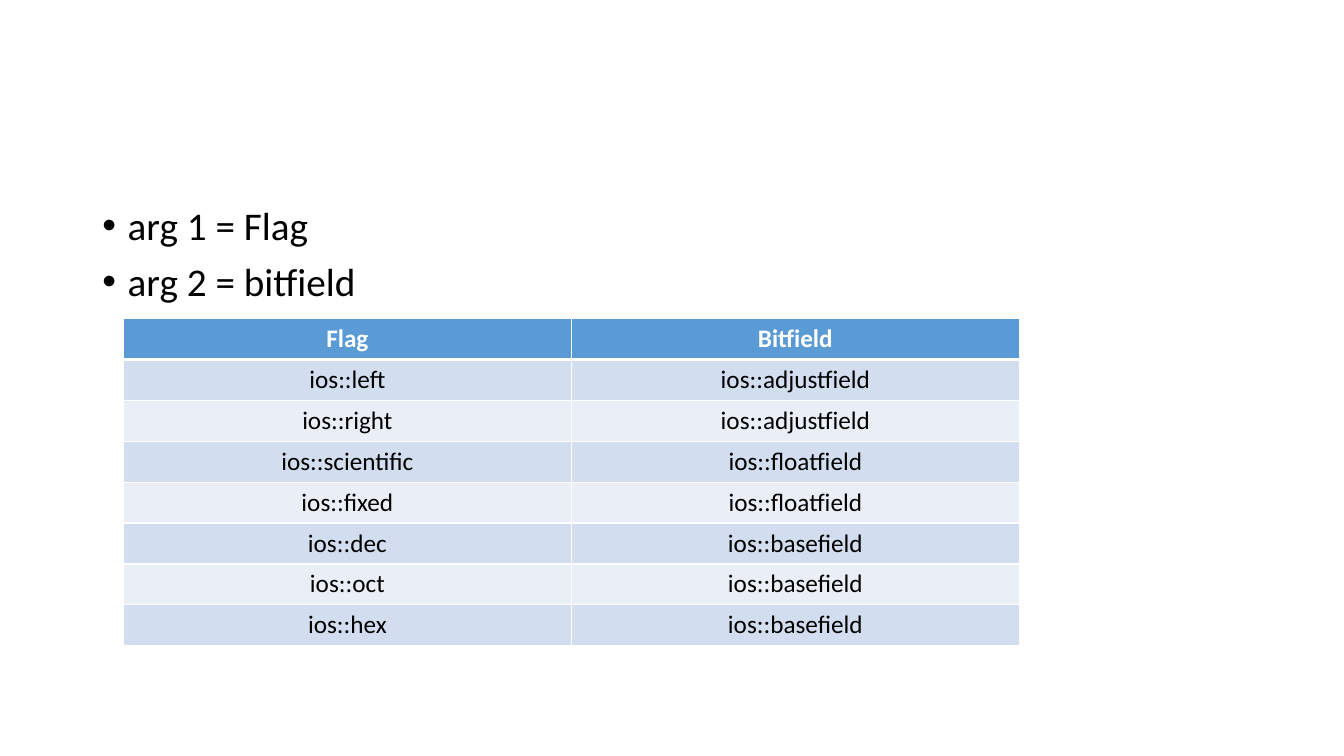
from lxml import etree
from pptx import Presentation
from pptx.dml.color import RGBColor
from pptx.enum.text import PP_ALIGN
from pptx.oxml.ns import qn
from pptx.util import Cm, Pt

CENTER = PP_ALIGN.CENTER
BLACK = RGBColor(0x00, 0x00, 0x00)
WHITE = RGBColor(0xFF, 0xFF, 0xFF)
HEADER_BLUE = RGBColor(0x5B, 0x9B, 0xD5)
BAND_FILLS = (RGBColor(0xEA, 0xEF, 0xF7), RGBColor(0xD2, 0xDE, 0xEF))
FONT_NAME = "Calibri"
ARGUMENTS = ("arg 1 = Flag", "arg 2 = bitfield")
FLAG_ROWS = (
    ("Flag", "Bitfield"),
    ("ios::left", "ios::adjustfield"),
    ("ios::right", "ios::adjustfield"),
    ("ios::scientific", "ios::floatfield"),
    ("ios::fixed", "ios::floatfield"),
    ("ios::dec", "ios::basefield"),
    ("ios::oct", "ios::basefield"),
    ("ios::hex", "ios::basefield"),
)


def add_span(para, text, size, color, bold=False):
    span = para.add_run()
    span.text = text
    span.font.name = FONT_NAME
    span.font.size = Pt(size)
    span.font.color.rgb = color
    span.font.bold = bold


def add_bullet(para):
    properties = para._p.get_or_add_pPr()
    properties.set("marL", str(Cm(0.64)))
    properties.set("indent", str(Cm(-0.64)))
    etree.SubElement(properties, qn("a:buFont"), typeface="Arial")
    etree.SubElement(properties, qn("a:buChar"), char="•")


def add_arguments(page, left, top, width, height):
    box = page.shapes.add_textbox(left, top, width, height)
    frame = box.text_frame
    frame.word_wrap = True
    for index, argument in enumerate(ARGUMENTS):
        para = frame.add_paragraph() if index else frame.paragraphs[0]
        add_bullet(para)
        para.line_spacing = 0.9
        para.space_before = Pt(10 if index else 0)
        add_span(para, argument, 28, BLACK)


def add_border(cell, side, weight):
    line = etree.SubElement(cell._tc.get_or_add_tcPr(), qn("a:" + side), w=str(Pt(weight)))
    fill = etree.SubElement(line, qn("a:solidFill"))
    etree.SubElement(fill, qn("a:srgbClr"), val=str(WHITE))


def fill_cell(cell, text, row_index):
    header = row_index == 0
    weights = {"lnL": 1, "lnR": 1, "lnT": 3 if row_index == 1 else 1, "lnB": 3 if header else 1}
    for side, weight in weights.items():
        add_border(cell, side, weight)
    cell.fill.solid()
    cell.fill.fore_color.rgb = HEADER_BLUE if header else BAND_FILLS[row_index % 2]
    para = cell.text_frame.paragraphs[0]
    para.alignment = CENTER
    add_span(para, text, 18, WHITE if header else BLACK, header)


def add_flag_table(page, left, top, width, height):
    frame = page.shapes.add_table(len(FLAG_ROWS), len(FLAG_ROWS[0]), left, top, width, height)
    for row_index, texts in enumerate(FLAG_ROWS):
        for column_index, text in enumerate(texts):
            fill_cell(frame.table.cell(row_index, column_index), text, row_index)


def main():
    deck = Presentation()
    deck.slide_width = Cm(33.87)
    deck.slide_height = Cm(19.05)
    page = deck.slides.add_slide(deck.slide_layouts[6])
    add_arguments(page, Cm(2.33), Cm(5.07), Cm(29.21), Cm(12.09))
    add_flag_table(page, Cm(3.11), Cm(8.03), Cm(22.58), Cm(8.24))
    deck.save("out.pptx")


if __name__ == "__main__":
    main()
